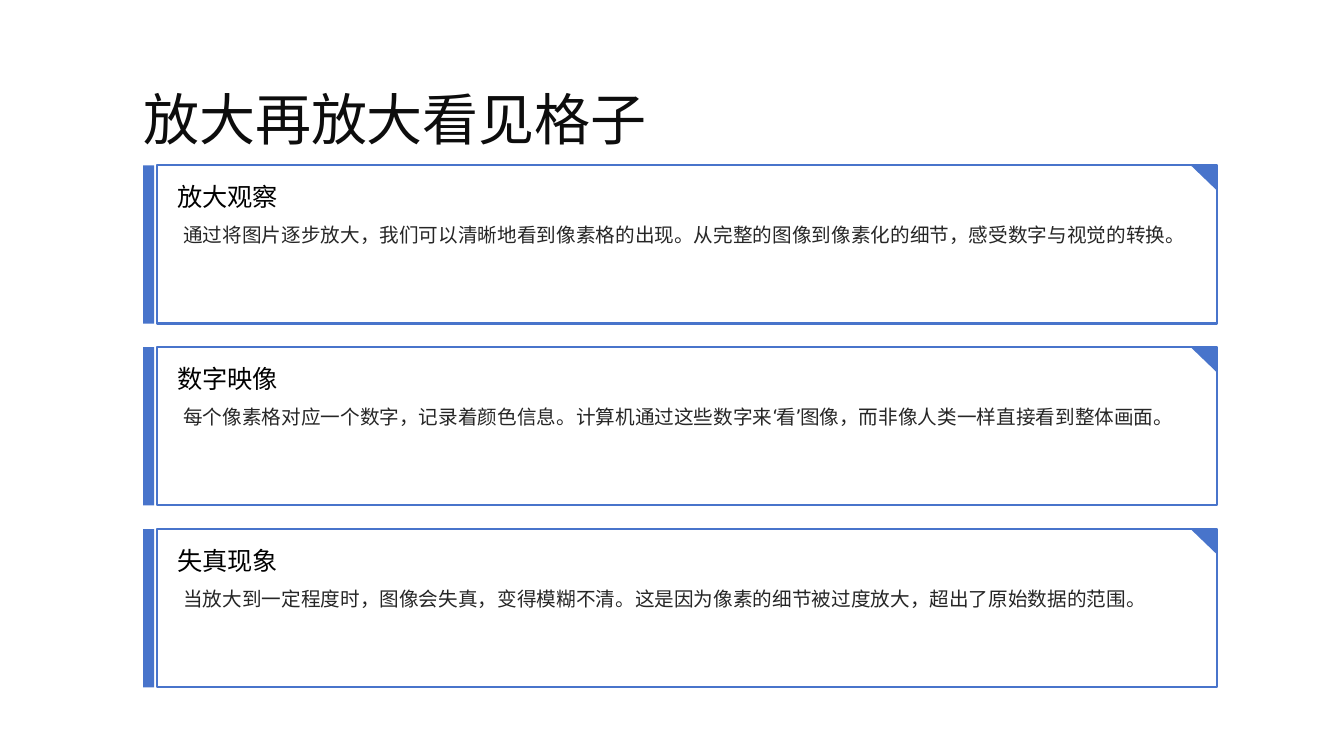
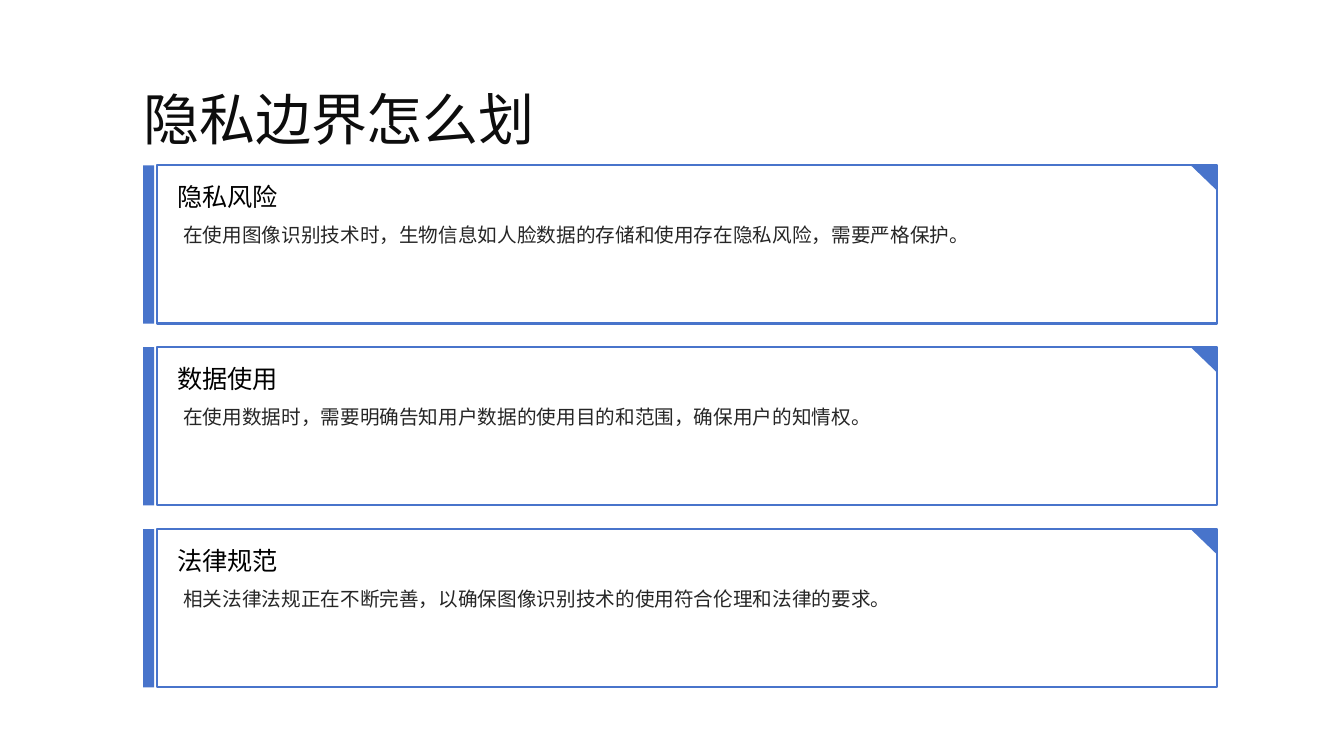
from dataclasses import dataclass

from lxml import etree
from pptx import Presentation
from pptx.dml.color import RGBColor
from pptx.enum.lang import MSO_LANGUAGE_ID as Lang
from pptx.enum.shapes import MSO_SHAPE as Shape
from pptx.enum.text import MSO_AUTO_SIZE as AutoSize, PP_ALIGN as Align
from pptx.oxml.ns import qn
from pptx.util import Inches, Pt


@dataclass(frozen=True)
class Box:
    left: float
    top: float
    width: float
    height: float

    def inside(self, left, top, width, height):
        """Return a box whose left and top are measured from this one."""
        return Box(self.left + left, self.top + top, width, height)

    def lengths(self):
        return [Inches(v) for v in (self.left, self.top, self.width, self.height)]


@dataclass(frozen=True)
class TextStyle:
    size: int
    color: str
    spacing: float = 1.0
    align: Align = Align.LEFT
    inset_x: float = 0.1
    inset_y: float = 0.05


class Theme:
    font = "Roboto"
    accent = "4874CB"
    paper = "FFFFFF"
    frame_line = 1.5
    title = TextStyle(40, "0D0D0D", spacing=1.5, inset_x=0, inset_y=0)
    heading = TextStyle(18, "000000")
    body = TextStyle(14, "262626", spacing=1.5, align=Align.JUSTIFY)


PAGE = Box(0, 0, 13.33, 7.5)
TITLE = Box(1.42, 0.51, 11.46, 1.01)
CARDS = Box(1.42, 1.64, 10.65, 5.18)
CARD_HEIGHT = 1.57

PAGES = [
    ("放大再放大看见格子", [
        ("放大观察", "通过将图片逐步放大，我们可以清晰地看到像素格的出现。"
                 "从完整的图像到像素化的细节，感受数字与视觉的转换。"),
        ("数字映像", "每个像素格对应一个数字，记录着颜色信息。"
                 "计算机通过这些数字来‘看’图像，而非像人类一样直接看到整体画面。"),
        ("失真现象", "当放大到一定程度时，图像会失真，变得模糊不清。"
                 "这是因为像素的细节被过度放大，超出了原始数据的范围。"),
    ]),
    ("隐私边界怎么划", [
        ("隐私风险", "在使用图像识别技术时，生物信息如人脸数据的存储和使用存在隐私风险，需要严格保护。"),
        ("数据使用", "在使用数据时，需要明确告知用户数据的使用目的和范围，确保用户的知情权。"),
        ("法律规范", "相关法律法规正在不断完善，以确保图像识别技术的使用符合伦理和法律的要求。"),
    ]),
]


def set_all(target, values):
    for name, value in values.items():
        setattr(target, name, value)


def add_text(page, box, text, style):
    frame = page.shapes.add_textbox(*box.lengths()).text_frame
    set_all(frame, {
        "word_wrap": True,
        "auto_size": AutoSize.SHAPE_TO_FIT_TEXT,
        "margin_left": Inches(style.inset_x),
        "margin_right": Inches(style.inset_x),
        "margin_top": Inches(style.inset_y),
        "margin_bottom": Inches(style.inset_y),
    })
    para = frame.paragraphs[0]
    set_all(para, {"alignment": style.align, "line_spacing": style.spacing})
    span = para.add_run()
    span.text = text
    set_all(span.font, {
        "size": Pt(style.size),
        "name": Theme.font,
        "language_id": Lang.SIMPLIFIED_CHINESE,
    })
    span.font.color.rgb = RGBColor.from_string(style.color)
    latin = span.font._element.find(qn("a:latin"))
    east_asian = etree.Element(qn("a:ea"), typeface=Theme.font)
    latin.addnext(east_asian)


def add_block(page, preset, box, fill, line=None):
    block = page.shapes.add_shape(preset, *box.lengths())
    block.shadow.inherit = False
    block.fill.solid()
    block.fill.fore_color.rgb = RGBColor.from_string(fill)
    if line:
        block.line.color.rgb = RGBColor.from_string(line)
        block.line.width = Pt(Theme.frame_line)
    else:
        block.line.fill.background()
    return block


def add_card(page, box, heading, body):
    """Place a side bar, a frame with a folded corner, and two texts."""
    bar = box.inside(0, 0, 0.11, box.height)
    frame = box.inside(0.14, 0, box.width - 0.14, box.height)
    corner = box.inside(box.width - 0.26, 0, 0.26, 0.25)
    add_block(page, Shape.RECTANGLE, bar, Theme.accent)
    add_block(page, Shape.RECTANGLE, frame, Theme.paper, Theme.accent)
    add_block(page, Shape.RIGHT_TRIANGLE, corner, Theme.accent).rotation = 180
    add_text(page, box.inside(0.24, 0.11, 8.04, 0.4), heading, Theme.heading)
    add_text(page, box.inside(0.3, 0.41, 10.2, 1.16), body, Theme.body)


def add_card_stack(page, area, cards):
    """Spread the cards evenly from the top to the bottom of the area."""
    pitch = (area.height - CARD_HEIGHT) / (len(cards) - 1)
    for row, (heading, body) in enumerate(cards):
        box = area.inside(0, row * pitch, area.width, CARD_HEIGHT)
        add_card(page, box, heading, body)


def add_card_page(deck, title, cards):
    page = deck.slides.add_slide(deck.slide_layouts[6])
    add_text(page, TITLE, title, Theme.title)
    add_card_stack(page, CARDS, cards)


def main():
    deck = Presentation()
    set_all(deck, {
        "slide_width": Inches(PAGE.width),
        "slide_height": Inches(PAGE.height),
    })
    for title, cards in PAGES:
        add_card_page(deck, title, cards)
    deck.save("out.pptx")


if __name__ == "__main__":
    main()
